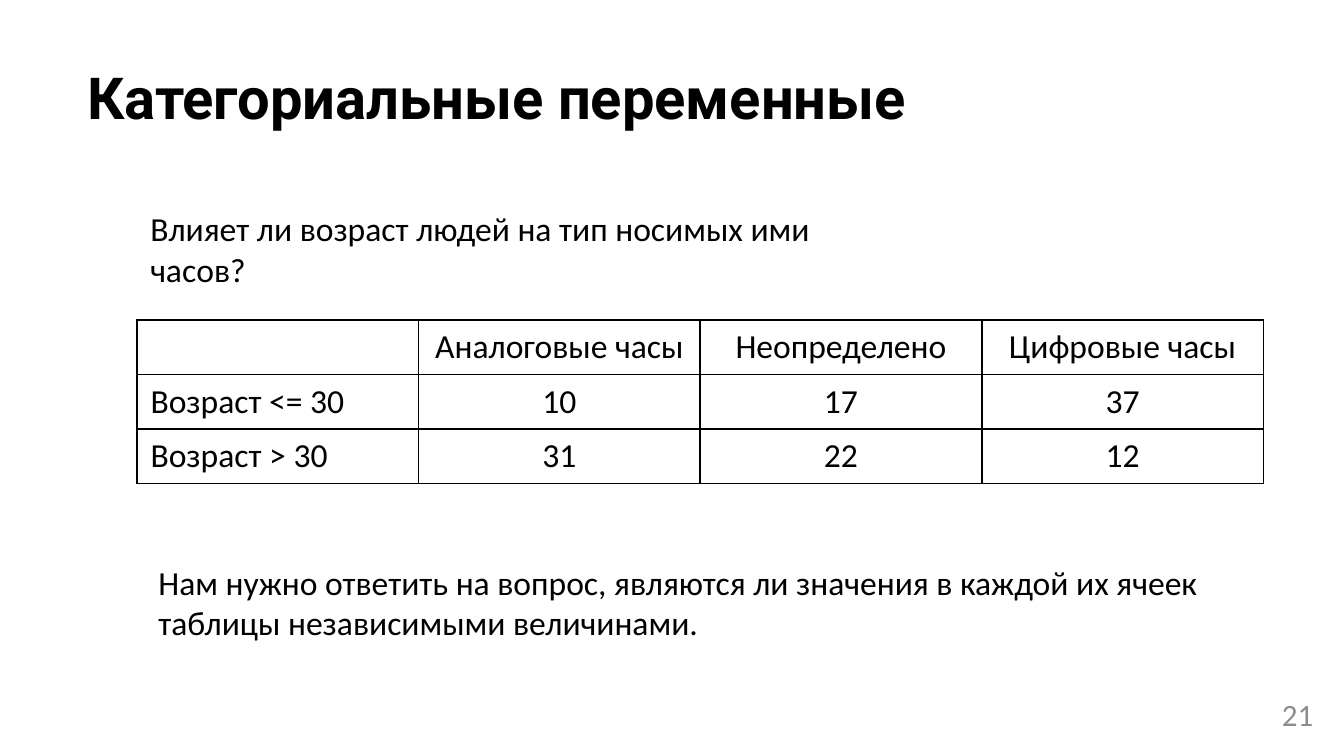
from lxml import etree
from pptx import Presentation
from pptx.dml.color import RGBColor
from pptx.enum.text import MSO_ANCHOR, MSO_AUTO_SIZE, PP_ALIGN
from pptx.oxml.ns import qn
from pptx.util import Inches, Pt

LEFT, CENTER, RIGHT = PP_ALIGN.LEFT, PP_ALIGN.CENTER, PP_ALIGN.RIGHT
TOP, MIDDLE = MSO_ANCHOR.TOP, MSO_ANCHOR.MIDDLE
GROW, FIXED = MSO_AUTO_SIZE.SHAPE_TO_FIT_TEXT, MSO_AUTO_SIZE.NONE

WIDTH = Inches(10)
HEIGHT = WIDTH * 9 // 16
GRID_COLUMNS = 100
BLACK, GRAY = "000000", "8C8C8C"
ROWS = [
    ["", "Аналоговые часы", "Неопределено", "Цифровые часы"],
    ["Возраст <= 30", "10", "17", "37"],
    ["Возраст > 30", "31", "22", "12"],
]


def color(value):
    return RGBColor.from_string(value)


def style(para, size=18, name="Calibri", ink=BLACK, bold=False, align=LEFT):
    para.alignment = align
    font = para.font
    font.size, font.name, font.bold = Pt(size), name, bold
    font.color.rgb = color(ink)


def add_text(page, box, text, inset=0.1, anchor=TOP, fit=FIXED, **look):
    frame = page.shapes.add_textbox(*box).text_frame
    frame.word_wrap = True
    frame.auto_size = fit
    frame.vertical_anchor = anchor
    frame.margin_left = frame.margin_right = Inches(0.1)
    frame.margin_top = frame.margin_bottom = Inches(inset)
    para = frame.paragraphs[0]
    para.text = text
    style(para, **look)


def add_borders(cell):
    properties = cell._tc.get_or_add_tcPr()
    for position, side in enumerate(("a:lnL", "a:lnR", "a:lnT", "a:lnB")):
        line = etree.Element(qn(side), w=str(Pt(1)))
        fill = etree.SubElement(line, qn("a:solidFill"))
        etree.SubElement(fill, qn("a:srgbClr"), val=BLACK)
        properties.insert(position, line)


def add_age_table(page, box):
    table = page.shapes.add_table(len(ROWS), len(ROWS[0]), *box).table
    table.first_row = table.horz_banding = False
    for r, values in enumerate(ROWS):
        for c, value in enumerate(values):
            cell = table.cell(r, c)
            cell.fill.background()
            add_borders(cell)
            para = cell.text_frame.paragraphs[0]
            para.text = value
            style(para, align=CENTER if c else LEFT)


def build_categorical_slide(page, width):
    unit = width / GRID_COLUMNS

    def grid(*cells):
        return [round(cell * unit) for cell in cells]

    add_text(page, grid(5.5, 3.6, 93.2, 12), "Категориальные переменные",
             size=31, name="Roboto", bold=True)
    add_text(page, grid(92.7, 51, 6, 4.3), "21", anchor=MIDDLE,
             size=16.6, ink=GRAY, align=RIGHT)
    add_age_table(page, grid(10.2, 23.8, 83.8, 12.2))
    add_text(page, grid(10.2, 15, 51.4, 3.4),
             "Влияет ли возраст людей на тип носимых ими часов?",
             inset=0.05, fit=GROW)
    add_text(page, grid(10.8, 41.3, 83.2, 5.7),
             "Нам нужно ответить на вопрос, являются ли значения "
             "в каждой их ячеек таблицы независимыми величинами.",
             inset=0.05, fit=GROW)


def main():
    deck = Presentation()
    deck.slide_width, deck.slide_height = WIDTH, HEIGHT
    page = deck.slides.add_slide(deck.slide_layouts[6])
    build_categorical_slide(page, WIDTH)
    deck.save("out.pptx")


if __name__ == "__main__":
    main()
